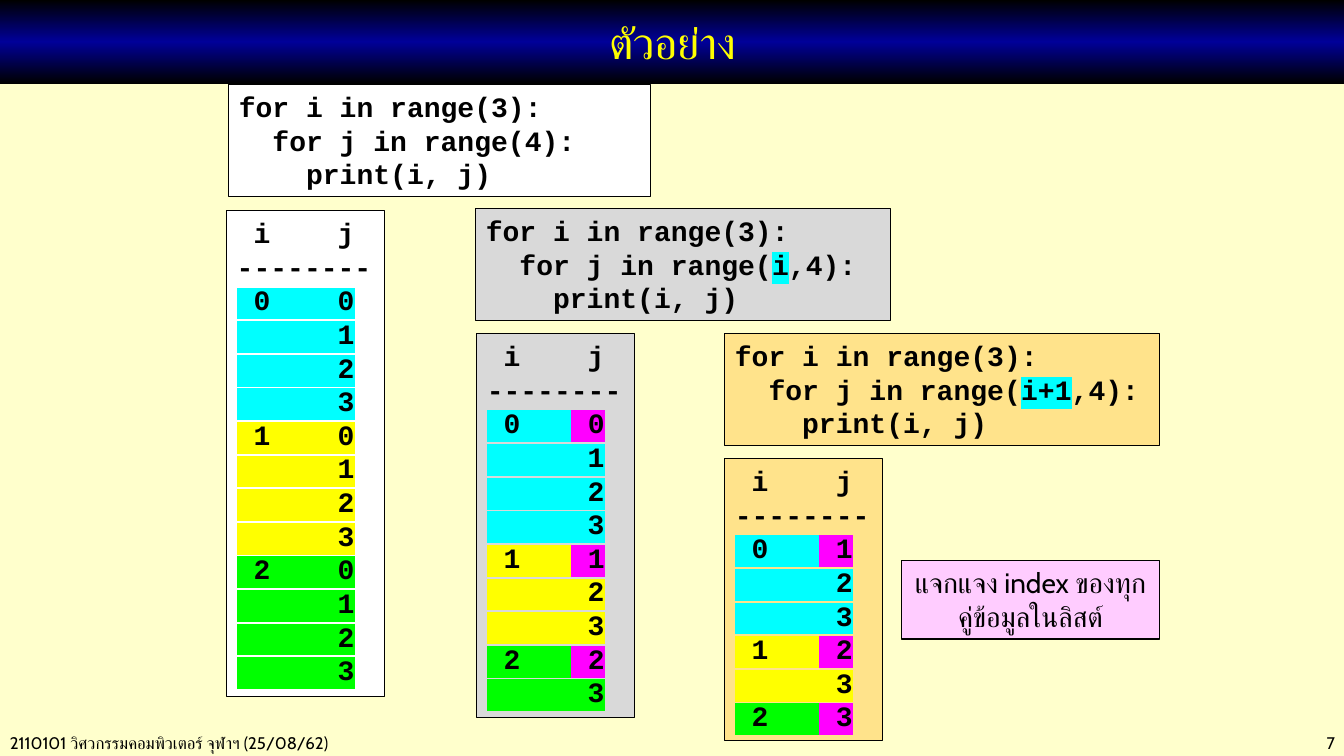
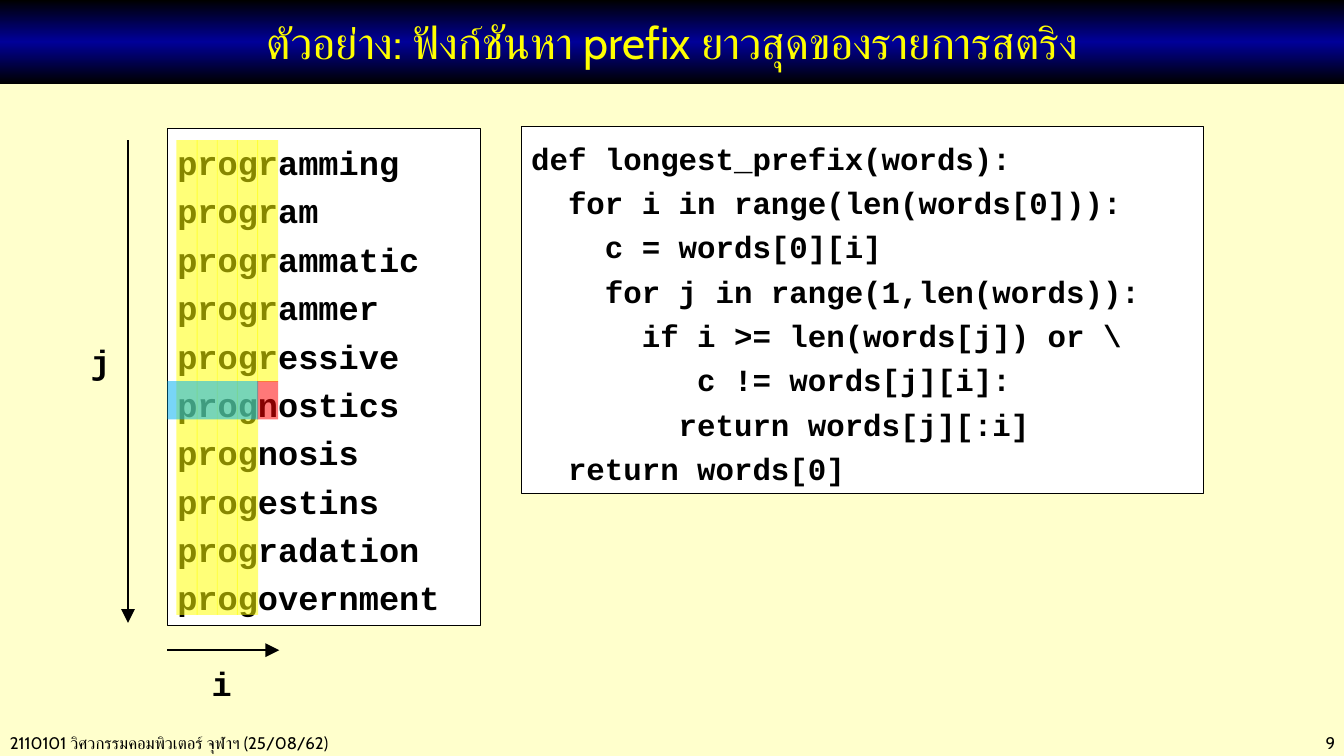
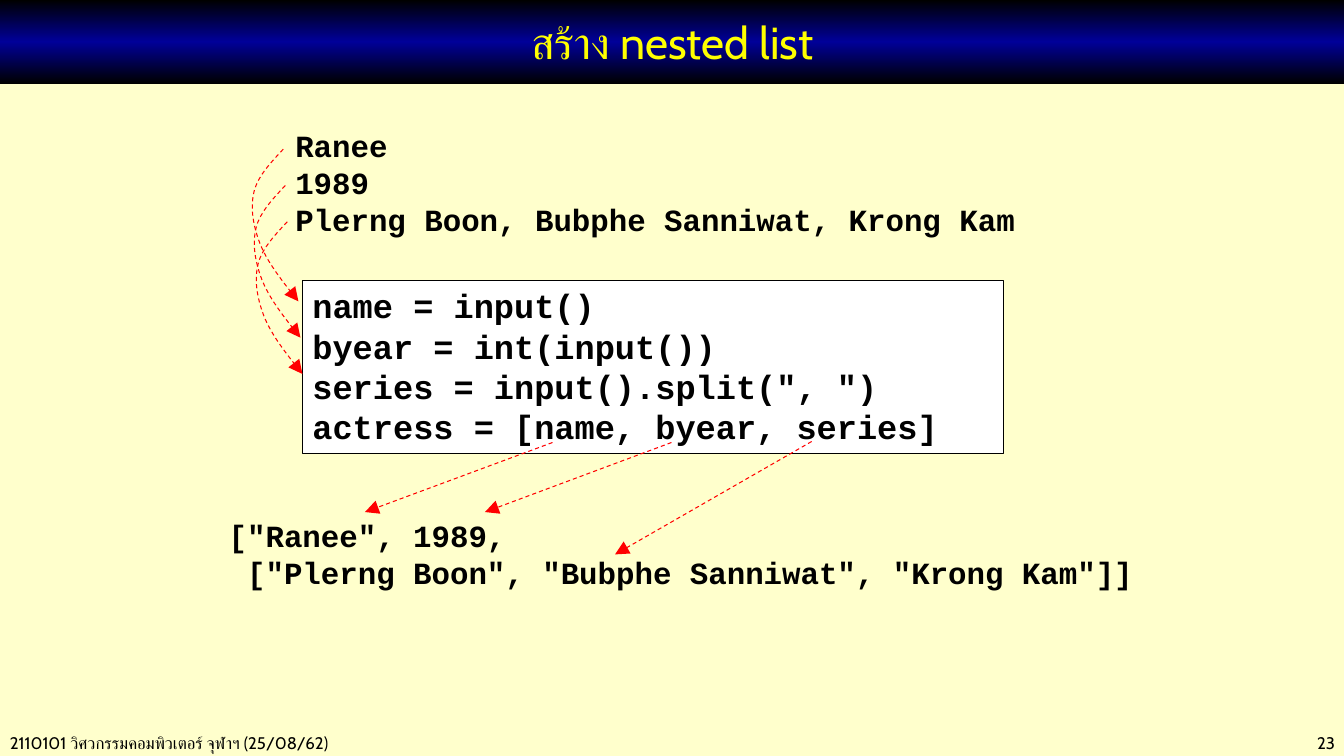
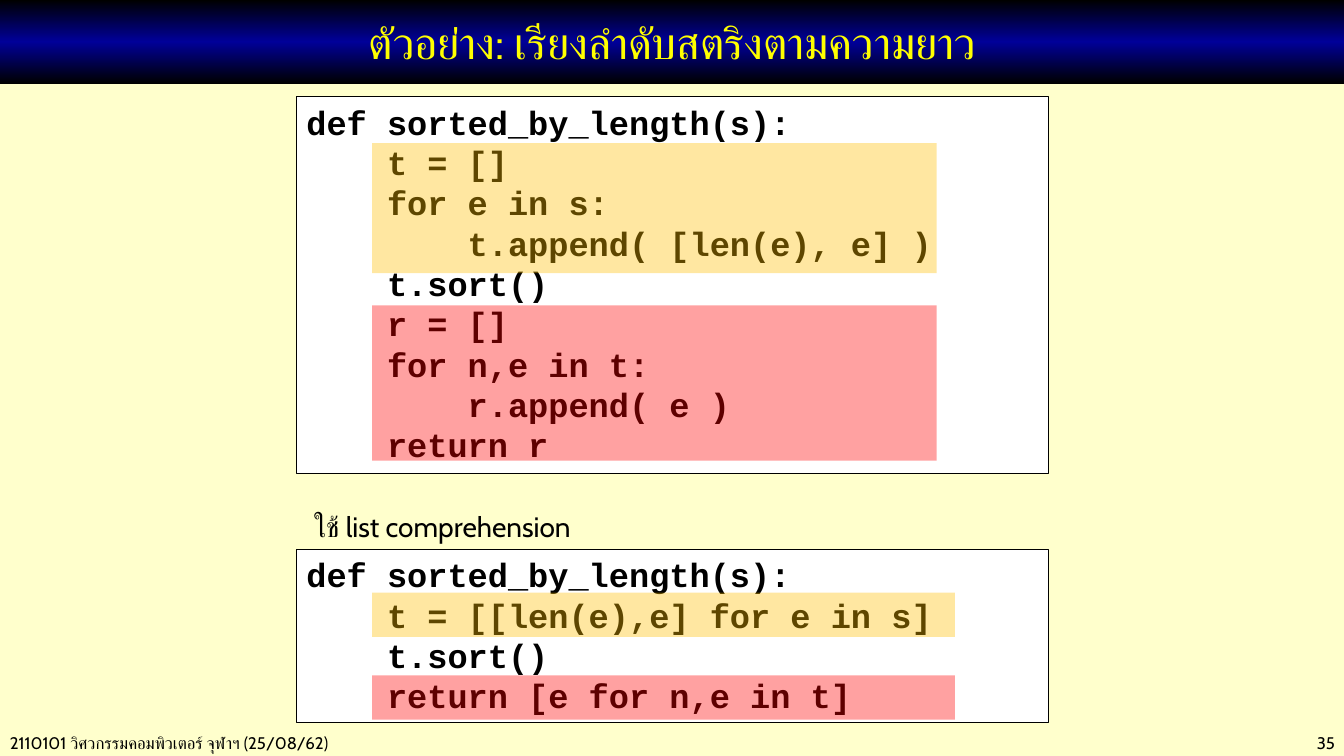
from copy import deepcopy

from lxml.etree import SubElement
from pptx import Presentation
from pptx.dml.color import RGBColor
from pptx.enum.dml import MSO_LINE
from pptx.enum.shapes import MSO_CONNECTOR, MSO_SHAPE
from pptx.enum.text import MSO_ANCHOR, PP_ALIGN
from pptx.oxml.ns import qn
from pptx.util import Inches, Pt

COLORS = {
    "page": "FFFFCC", "black": "000000", "navy": "000099", "title": "FFFF00",
    "white": "FFFFFF", "gray": "D9D9D9", "sand": "FFE38B", "pink": "FFCCFF",
    "cyan": "00FFFF", "yellow": "FFFF00", "green": "00FF00", "magenta": "FF00FF",
    "red": "FF0000", "blue": "00B0F0", "orange": "FFC000",
}
SANS, MONO = "Cabin", "Courier New"
FOOTER = "2110101 วิศวกรรมคอมพิวเตอร์ จุฬาฯ (25/08/62)"

# Slide 1: first j for a given i, range start as written, fill, code and output places
LOOPS = [
    (lambda i: 0, "", "white", (2.27, 0.84, 4.18, 1.11), (2.25, 2.09, 1.56, 4.82)),
    (lambda i: i, "i", "gray", (4.72, 2.07, 4.11, 1.11), (4.73, 3.31, 1.56, 3.81)),
    (lambda i: i + 1, "i+1", "sand", (7.19, 3.31, 4.31, 1.11), (7.19, 4.55, 1.56, 2.8)),
]
ROW_COLORS = ["cyan", "yellow", "green"]
PAIRS_NOTE = [[("แจกแจง", {"font": MONO}), (" index ", {}),
               ("ของทุกคู่ข้อมูลในลิสต์", {"font": MONO})]]

# Slide 2
WORDS = ["programming", "program", "programmatic", "programmer", "progressive",
         "prognostics", "prognosis", "progestins", "progradation", "progovernment"]
PREFIX_CODE = [
    "def longest_prefix(words):",
    "  for i in range(len(words[0])):",
    "    c = words[0][i]",
    "    for j in range(1,len(words)):",
    "      if i >= len(words[j]) or \\",
    "         c != words[j][i]:",
    "        return words[j][:i]",
    "  return words[0]",
]
COLUMN_HEIGHTS = [4.71, 4.71, 4.71, 4.71, 2.4]
INDEX_ARROWS = [
    ("j", (1.27, 1.39), (1.27, 6.18), (0.8, 3.25, 0.43, 0.57)),
    ("i", (1.66, 6.45), (2.77, 6.45), (2, 6.45, 0.43, 0.57)),
]

# Slide 3
INPUT_LINES = ["Ranee", "1989", "Plerng Boon, Bubphe Sanniwat, Krong Kam"]
INPUT_CODE = ["name = input()", "byear = int(input())",
              'series = input().split(", ")', "actress = [name, byear, series]"]
NESTED_LIST = ['["Ranee", 1989,',
               ' ["Plerng Boon", "Bubphe Sanniwat", "Krong Kam"]]']
VALUE_ARROWS = [((5.48, 4.39), (3.62, 5.08)), ((6.66, 4.39), (4.81, 5.08)),
                ((8.05, 4.38), (6.1, 5.5))]
INPUT_CURVE = [(2.81, 1.48), (2.69, 1.61), (2.56, 1.74), (2.52, 1.9), (2.48, 2.06),
               (2.51, 2.24), (2.58, 2.42), (2.65, 2.6), (2.8, 2.79), (2.96, 2.99)]
CURVE_STEP = (0.02, 0.36)

# Slide 4: code with the place of its box
SORT_CODE = [
    (["def sorted_by_length(s):", "    t = []", "    for e in s:",
      "        t.append( [len(e), e] )", "    t.sort()", "    r = []",
      "    for n,e in t:", "        r.append( e )", "    return r"],
     (2.94, 0.96, 7.46, 3.74)),
    (["def sorted_by_length(s):", "    t = [[len(e),e] for e in s]",
      "    t.sort()", "    return [e for n,e in t]"],
     (2.94, 5.45, 7.46, 1.72)),
]
SORT_MARKS = [("orange", (3.69, 1.42, 5.6, 1.29)), ("orange", (3.69, 5.88, 5.78, 0.44)),
              ("red", (3.69, 6.7, 5.78, 0.44)), ("red", (3.69, 3.03, 5.6, 1.54))]


def rgb(name):
    return RGBColor.from_string(COLORS[name])


def write(box, lines, size=20, font=MONO, bold=None, color="black", align=None,
          spacing=None, indent=0, anchor=MSO_ANCHOR.TOP, wrap=True):
    """Fill a box; a line is a string or a list of (text, format) spans."""
    frame = box.text_frame
    frame.word_wrap = wrap
    frame.vertical_anchor = anchor
    for number, line in enumerate(lines):
        para = frame.add_paragraph() if number else frame.paragraphs[0]
        para.alignment = align or PP_ALIGN.LEFT
        if spacing:
            para.line_spacing = spacing
        if indent:
            para._p.get_or_add_pPr().set("marL", str(Inches(indent)))
        for text, style in [(line, {})] if isinstance(line, str) else line:
            span = para.add_run()
            span.text = text
            span.font.size = Pt(size)
            span.font.bold = bold
            span.font.color.rgb = rgb(color)
            properties = span._r.get_or_add_rPr()
            if style.get("highlight"):
                mark = SubElement(properties, qn("a:highlight"))
                SubElement(mark, qn("a:srgbClr"), val=COLORS[style["highlight"]])
            name = style.get("font", font)
            span.font.name = name
            SubElement(properties, qn("a:cs"), typeface=name)  # Thai letters


def add_text(page, place, lines, **style):
    box = page.shapes.add_textbox(*map(Inches, place))
    write(box, lines, **style)


def add_box(page, place, fill=None, outline=True, opacity=None):
    box = page.shapes.add_shape(MSO_SHAPE.RECTANGLE, *map(Inches, place))
    box.shadow.inherit = False
    if fill:
        box.fill.solid()
        box.fill.fore_color.rgb = rgb(fill)
    if opacity:
        tint = box._element.spPr.find(qn("a:solidFill"))[0]
        SubElement(tint, qn("a:alpha"), val=str(opacity * 1000))
    if outline:
        box.line.color.rgb = rgb("black")
        box.line.width = Pt(0.75)
    else:
        box.line.fill.background()
    return box


def add_code(page, place, lines, fill="white", size=24, **style):
    write(add_box(page, place, fill), lines, size=size, bold=True, **style)


def add_mark(page, place, fill, opacity):
    add_box(page, place, fill, outline=False, opacity=opacity)


def style_arrow(arrow, color, width, dashed):
    arrow.line.color.rgb = rgb(color)
    arrow.line.width = Pt(width)
    if dashed:
        arrow.line.dash_style = MSO_LINE.DASH
    SubElement(arrow.line._get_or_add_ln(), qn("a:tailEnd"),
               type="triangle", w="lg", len="lg")


def add_arrow(page, start, end, color="black", width=1.5, dashed=False):
    arrow = page.shapes.add_connector(MSO_CONNECTOR.STRAIGHT,
                                      *map(Inches, (*start, *end)))
    style_arrow(arrow, color, width, dashed)
    SubElement(arrow._element.spPr, qn("a:effectLst"))


def add_curve(page, points, steps=8):
    """Draw a chain of cubic curves as short segments."""
    track = [points[0]]
    for first in range(0, len(points) - 1, 3):
        a, b, c, d = points[first:first + 4]
        for step in range(1, steps + 1):
            t = step / steps
            u = 1 - t
            track.append(tuple(
                u**3 * a[k] + 3 * u * u * t * b[k] + 3 * u * t * t * c[k] + t**3 * d[k]
                for k in (0, 1)))
    start, *rest = [(Inches(x), Inches(y)) for x, y in track]
    builder = page.shapes.build_freeform(*start)
    builder.add_line_segments(rest, close=False)
    curve = builder.convert_to_shape()
    curve.shadow.inherit = False
    curve.fill.background()
    style_arrow(curve, "red", 0.75, True)


def add_page(deck, title, number):
    """Background, footer, page number and title band of every slide."""
    page = deck.slides.add_slide(deck.slide_layouts[6])
    page.background.fill.solid()
    page.background.fill.fore_color.rgb = rgb("page")
    add_text(page, (0, 7.22, 5.2, 0.3), [FOOTER], size=12, font=SANS)
    add_text(page, (11.5, 7.22, 1.84, 0.3), [str(number)], size=12, font=SANS,
             align=PP_ALIGN.RIGHT)
    band = add_box(page, (0, 0, 13.34, 0.83), outline=False)
    band.fill.gradient()
    band.fill.gradient_angle = 270
    for stop, color in zip(band.fill.gradient_stops, ("black", "navy")):
        stop.color.rgb = rgb(color)
    stops = band._element.spPr.find(qn("a:gradFill")).find(qn("a:gsLst"))
    stops.append(deepcopy(stops[0]))
    for stop, position in zip(stops, (0, 50000, 100000)):
        stop.set("pos", str(position))
    write(band, [title], size=32, font=SANS, color="title", align=PP_ALIGN.CENTER,
          anchor=MSO_ANCHOR.MIDDLE)
    return page


def loop_output(first_j, marked):
    lines = [" i    j", "--------"]
    for i, color in enumerate(ROW_COLORS):
        for j in range(first_j(i), 4):
            head = f" {i}   " if j == first_j(i) else " " * 5
            if marked and j == first_j(i):
                lines.append([(head, {"highlight": color}),
                              (f" {j}", {"highlight": "magenta"})])
            else:
                lines.append([(f"{head} {j}", {"highlight": color})])
    return lines


def build_loops(deck):
    page = add_page(deck, "ตัวอย่าง", 7)
    for first_j, start, fill, code_place, output_place in LOOPS:
        inner = "  for j in range(4):"
        if start:
            inner = [("  for j in range(", {}), (start, {"highlight": "cyan"}),
                     (",4):", {})]
        code = ["for i in range(3):", inner, "    print(i, j)"]
        add_code(page, code_place, code, fill, size=20)
        add_code(page, output_place, loop_output(first_j, bool(start)), fill, size=20)
    write(add_box(page, (8.94, 5.56, 2.56, 0.78), "pink"), PAIRS_NOTE, font=SANS,
          align=PP_ALIGN.CENTER)


def build_prefix(deck):
    page = add_page(deck, "ตัวอย่าง: ฟังก์ชันหา prefix ยาวสุดของรายการสตริง", 9)
    add_code(page, (1.66, 1.28, 3.11, 4.93), WORDS, spacing=1.2)
    for label, start, end, place in INDEX_ARROWS:
        add_arrow(page, start, end)
        add_text(page, place, [label], size=24, bold=True, spacing=1.2)
    add_code(page, (5.17, 1.26, 6.77, 3.64), PREFIX_CODE, size=22, spacing=1.2)
    for column, height in enumerate(COLUMN_HEIGHTS):
        add_mark(page, (1.75 + 0.2 * column, 1.39, 0.21, height), "yellow", 53)
    add_mark(page, (2.55, 3.78, 0.21, 0.38), "red", 53)
    add_mark(page, (1.66, 3.78, 0.9, 0.38), "blue", 53)


def build_nested_list(deck):
    page = add_page(deck, "สร้าง nested list", 23)
    add_code(page, (3, 2.78, 6.95, 1.72), INPUT_CODE)
    add_text(page, (2.33, 1.21, 8.11, 1.21), INPUT_LINES, size=22, bold=True, indent=0.5)
    add_text(page, (1.67, 5.08, 9.75, 0.84), NESTED_LIST, size=22, bold=True, indent=0.5)
    for start, end in VALUE_ARROWS:
        add_arrow(page, start, end, "red", 0.75, dashed=True)
    for row in range(len(INPUT_LINES)):
        add_curve(page, [(x + row * CURVE_STEP[0], y + row * CURVE_STEP[1])
                         for x, y in INPUT_CURVE])


def build_sorting(deck):
    page = add_page(deck, "ตัวอย่าง: เรียงลำดับสตริงตามความยาว", 35)
    for code, place in SORT_CODE:
        add_code(page, place, code)
    add_text(page, (2.94, 5.01, 2.9, 0.44), ["ใช้ list comprehension"], font=SANS,
             align=PP_ALIGN.CENTER, wrap=False)
    for color, place in SORT_MARKS:
        add_mark(page, place, color, 37)


def main():
    deck = Presentation()
    deck.slide_width, deck.slide_height = Inches(13.33), Inches(7.5)
    for build in (build_loops, build_prefix, build_nested_list, build_sorting):
        build(deck)
    deck.save("out.pptx")


if __name__ == "__main__":
    main()
